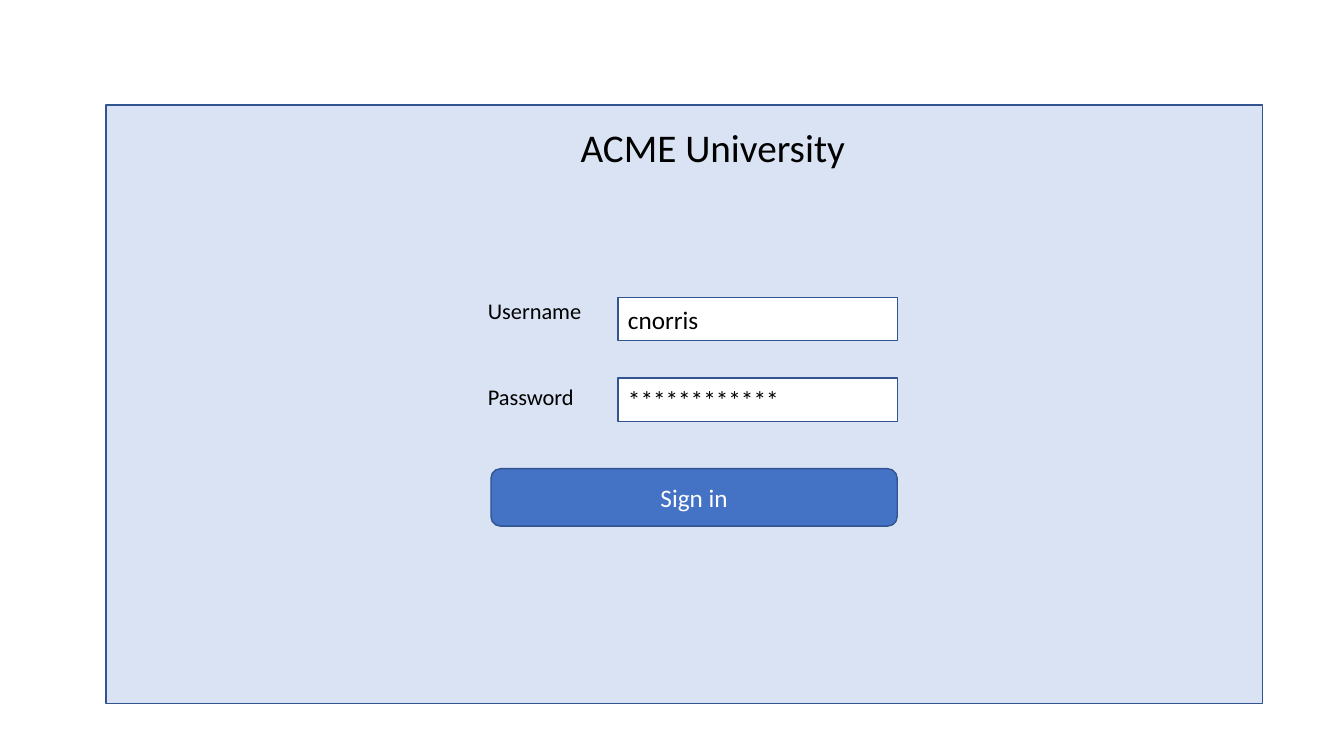
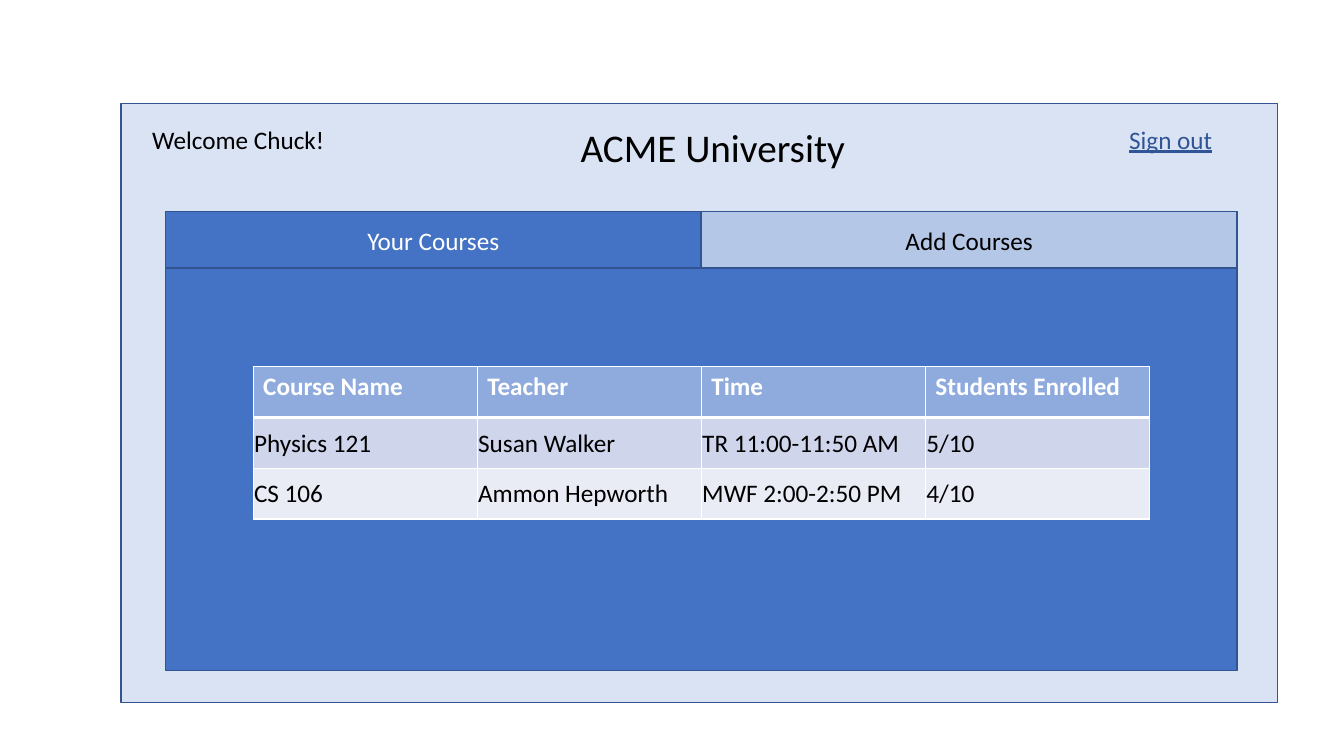
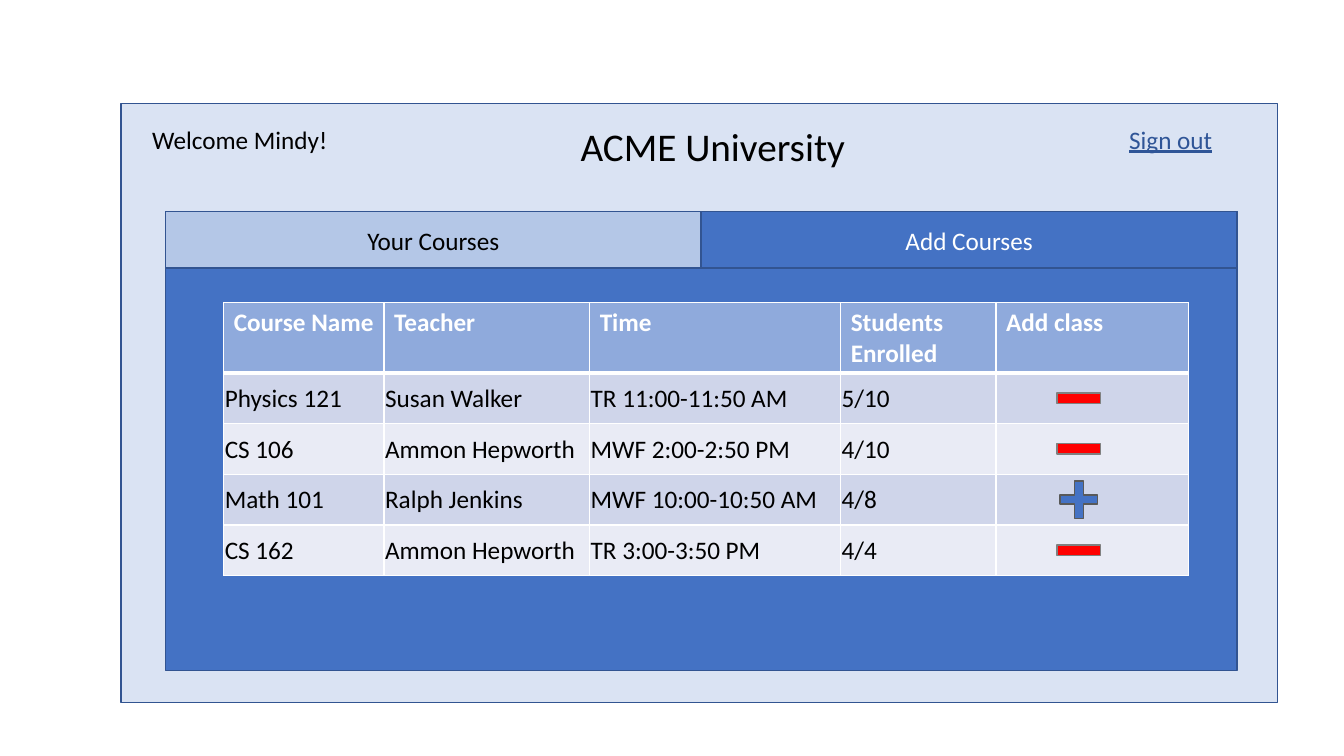
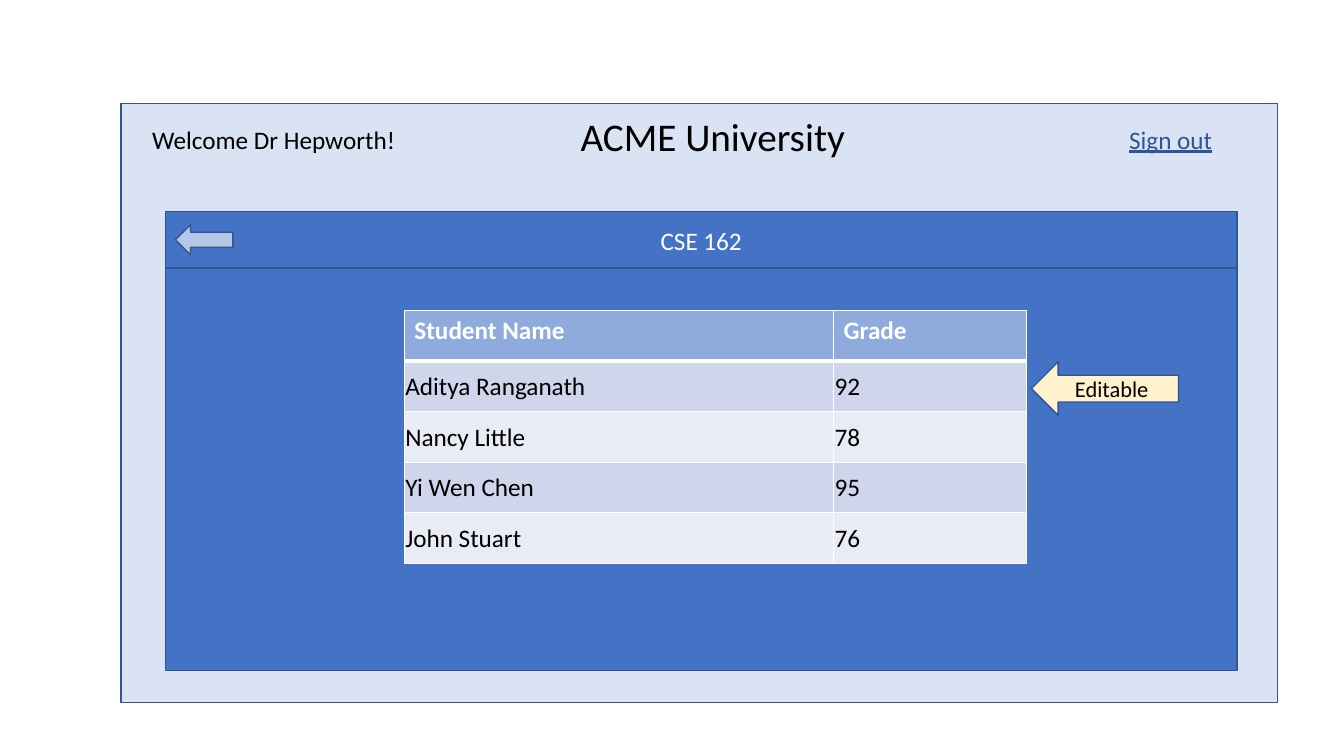
"""Build four wireframe screens of a university course portal."""
from dataclasses import dataclass

from lxml.etree import SubElement
from pptx import Presentation
from pptx.dml.color import RGBColor
from pptx.enum.shapes import MSO_SHAPE
from pptx.enum.text import MSO_ANCHOR, MSO_AUTO_SIZE, PP_ALIGN
from pptx.oxml.ns import qn
from pptx.util import Inches, Pt


@dataclass(frozen=True)
class Theme:
    font: str = "Calibri"
    title: int = 28
    body: int = 18
    small: int = 16
    black: str = "000000"
    white: str = "FFFFFF"
    frame: str = "DAE3F3"
    accent: str = "4472C4"
    muted: str = "B4C7E7"
    edge: str = "325491"
    link: str = "2F5597"
    header: str = "8FAADC"
    bands: tuple = ("CFD5EA", "E9EBF5")
    note: str = "FFF2CC"
    minus: str = "FF0000"
    minus_edge: str = "808080"
    plus_edge: str = "595959"


THEME = Theme()
SCHOOL = "ACME University"
SIGN_OUT = "Sign out"
SIGN_IN = "Sign in"
LOGIN_FIELDS = [
    ("Username", "cnorris", (35.56, 38.67, 8.55, 4.93), 39.33),
    ("Password", "************", (35.56, 50, 8.03, 4.93), 50),
]
TABS = ["Your Courses", "Add Courses"]
COURSE_HEADINGS = ["Course Name", "Teacher", "Time", "Students Enrolled"]
COURSES = [
    ["Physics 121", "Susan Walker", "TR 11:00-11:50 AM", "5/10"],
    ["CS 106", "Ammon Hepworth", "MWF 2:00-2:50 PM", "4/10"],
    ["Math 101", "Ralph Jenkins", "MWF 10:00-10:50 AM", "4/8"],
    ["CS 162", "Ammon Hepworth", "TR 3:00-3:50 PM", "4/4"],
]
ENROLLED = [True, True, False, True]
GRADES = [
    ["Student Name", "Grade"],
    ["Aditya Ranganath", "92"],
    ["Nancy Little", "78"],
    ["Yi Wen Chen", "95"],
    ["John Stuart", "76"],
]

# Boxes are left, top, width and height in percent of the slide.
LOGIN_FRAME = (7.88, 13.87, 86.05, 79.2)
FRAME = (9, 13.73, 86.05, 79.2)
PANEL = (12.3, 28, 79.74, 60.67)
TAB_HEIGHT = 7.47
FIRST_TAB_SHARE = 0.5
ENROLLED_BOX = (18.83, 48.53, 66.69, 20.13)
CATALOG_BOX = (16.65, 40, 71.79, 36.13)
CATALOG_COLUMNS = [1.59, 2.04, 2.49, 1.54, 1.91]
CATALOG_HEADER = 9.33
MARK_SHARE = 0.43
GRADES_BOX = (30.08, 41.07, 46.29, 33.47)

deck = Presentation()
deck.slide_width, deck.slide_height = Inches(13.33), Inches(7.5)


def emu(box):
    """Turn a box in percent into slide lengths."""
    sides = (deck.slide_width, deck.slide_height) * 2
    return [round(side * share / 100) for side, share in zip(sides, box)]


def color(value):
    """Return a colour object for a hex value."""
    return RGBColor.from_string(value)


def write(frame, text, size=THEME.body, ink=THEME.black, align=PP_ALIGN.LEFT):
    """Put one styled paragraph in a text frame and return it."""
    paragraph = frame.paragraphs[0]
    paragraph.text = text
    paragraph.alignment = align
    font = paragraph.font
    font.name, font.size, font.color.rgb = THEME.font, Pt(size), color(ink)
    return paragraph


def label(slide, box, text, size=THEME.body, ink=THEME.black):
    """Add a line of text without a box around it."""
    frame = slide.shapes.add_textbox(*emu(box)).text_frame
    frame.word_wrap = False
    frame.auto_size = MSO_AUTO_SIZE.SHAPE_TO_FIT_TEXT
    return write(frame, text, size, ink)


def block(slide, box, fill, text="", kind=MSO_SHAPE.RECTANGLE, edge=THEME.edge, **style):
    """Add a filled and outlined shape, with text when given."""
    shape = slide.shapes.add_shape(kind, *emu(box))
    shape.shadow.inherit = False
    shape.fill.solid()
    shape.fill.fore_color.rgb = color(fill)
    shape.line.color.rgb = color(edge)
    shape.line.width = Pt(1)
    if text:
        shape.text_frame.vertical_anchor = MSO_ANCHOR.MIDDLE
        write(shape.text_frame, text, **style)
    return shape


def outline(cell, top, bottom):
    """Draw white cell borders of the given top and bottom widths."""
    properties = cell._tc.get_or_add_tcPr()
    for side, width in (("L", 1), ("R", 1), ("T", top), ("B", bottom)):
        line = SubElement(properties, qn(f"a:ln{side}"), w=str(Pt(width)))
        SubElement(SubElement(line, qn("a:solidFill")), qn("a:srgbClr"), val=THEME.white)


def listing(slide, box, rows, weights, header=None):
    """Add a banded table and return its body row height in percent."""
    header = header or box[3] / len(rows)
    row_height = (box[3] - header) / (len(rows) - 1)
    table = slide.shapes.add_table(len(rows), len(weights), *emu(box)).table
    for column, weight in zip(table.columns, weights):
        column.width = emu((box[2] * weight / sum(weights),))[0]
    for r, texts in enumerate(rows):
        table.rows[r].height = emu((0, header if r == 0 else row_height))[1]
        for c, text in enumerate(texts):
            cell = table.cell(r, c)
            outline(cell, 3 if r == 1 else 1, 3 if r == 0 else 1)
            cell.fill.solid()
            cell.fill.fore_color.rgb = color(THEME.bands[(r - 1) % 2] if r else THEME.header)
            paragraph = write(cell.text_frame, text, ink=THEME.black if r else THEME.white)
            paragraph.font.bold = r == 0
            if r:
                cell.vertical_anchor = MSO_ANCHOR.MIDDLE
                cell.margin_left = cell.margin_right = cell.margin_top = Inches(0.01)
                cell.margin_bottom = 0
    return row_height


def screen(frame, title_top=15.6):
    """Start a slide with the portal frame and the school name."""
    slide = deck.slides.add_slide(deck.slide_layouts[6])
    block(slide, frame, THEME.frame)
    label(slide, (42.46, title_top, 21.38, 7.6), SCHOOL, THEME.title)
    return slide


def member_screen(welcome, welcome_width, tabs, active, title_top=15.6):
    """Start a signed-in slide with greeting, panel and tabs."""
    slide = screen(FRAME, title_top)
    label(slide, (10.58, 15.73, welcome_width, 5.33), welcome)
    label(slide, (83.27, 15.73, 7.8, 5.33), SIGN_OUT, ink=THEME.link).font.underline = True
    block(slide, PANEL, THEME.accent)
    left, top, width, _ = PANEL
    tab_width = width / len(tabs)
    for i, text in enumerate(tabs):
        fill, ink = (THEME.accent, THEME.white) if i == active else (THEME.muted, THEME.black)
        block(slide, (left + i * tab_width, top, tab_width, TAB_HEIGHT), fill, text,
              ink=ink, align=PP_ALIGN.CENTER)
    return slide


def login():
    """Build the sign-in screen."""
    slide = screen(LOGIN_FRAME)
    for name, value, name_box, field_top in LOGIN_FIELDS:
        label(slide, name_box, name, THEME.small)
        block(slide, (45.99, field_top, 20.78, 5.73), THEME.white, value)
    block(slide, (36.53, 62, 30.23, 7.6), THEME.accent, SIGN_IN,
          MSO_SHAPE.ROUNDED_RECTANGLE, ink=THEME.white, align=PP_ALIGN.CENTER)


def your_courses():
    """Build the list of courses already taken."""
    slide = member_screen("Welcome Chuck!", 14.55, TABS, 0)
    listing(slide, ENROLLED_BOX, [COURSE_HEADINGS] + COURSES[:2], [1] * 4)


def add_courses():
    """Build the catalog with a plus or minus mark for each course."""
    slide = member_screen("Welcome Mindy!", 14.78, TABS, 1, 15.47)
    rows = [COURSE_HEADINGS + ["Add class"]] + [course + [""] for course in COURSES]
    row_height = listing(slide, CATALOG_BOX, rows, CATALOG_COLUMNS, CATALOG_HEADER)
    left, top, width, _ = CATALOG_BOX
    mark_column = width * CATALOG_COLUMNS[-1] / sum(CATALOG_COLUMNS)
    x = left + width - mark_column * (1 - MARK_SHARE)
    for i, enrolled in enumerate(ENROLLED):
        y = top + CATALOG_HEADER + row_height * (i + 0.5)
        w, h = (4.43, 5.87) if enrolled else (2.78, 4.93)
        box = (x - w / 2, y - h / 2, w, h)
        if enrolled:
            block(slide, box, THEME.minus, kind=MSO_SHAPE.MATH_MINUS, edge=THEME.minus_edge)
        else:
            plus = block(slide, box, THEME.accent, kind=MSO_SHAPE.CROSS, edge=THEME.plus_edge)
            plus.adjustments[0] = 0.38


def grades():
    """Build the teacher's grade sheet."""
    slide = member_screen("Welcome Dr Hepworth!", 19.88, ["CSE 162"], 0, 14.27)
    listing(slide, GRADES_BOX, GRADES, [4.25, 1.91])
    block(slide, (76.74, 47.87, 10.95, 7.07), THEME.note, "Editable", MSO_SHAPE.LEFT_ARROW,
          size=THEME.small, align=PP_ALIGN.CENTER)
    block(slide, (13.05, 29.73, 4.28, 4), THEME.muted, kind=MSO_SHAPE.LEFT_ARROW)


for build in (login, your_courses, add_courses, grades):
    build()
deck.save("out.pptx")
